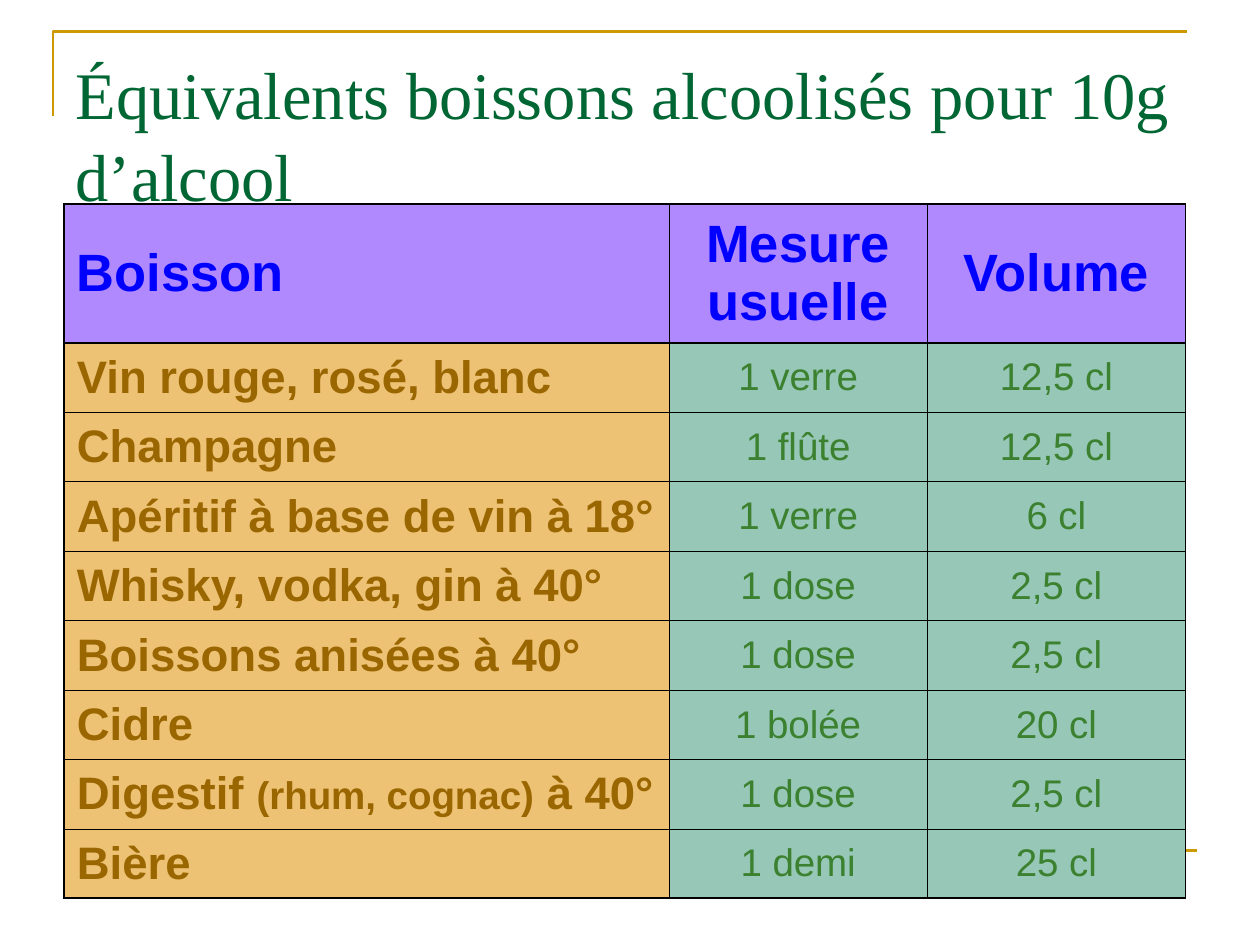
from lxml import etree
from pptx import Presentation, util as u
from pptx.dml.color import RGBColor
from pptx.enum import text
from pptx.oxml import ns

TITLE = "Équivalents boissons alcoolisés pour 10g d’alcool"
HEAD = ("Boisson", "Mesure usuelle", "Volume")
ROWS = [
    ("Vin rouge, rosé, blanc", "1 verre", "12,5 cl"),
    ("Champagne", "1 flûte", "12,5 cl"),
    ("Apéritif à base de vin à 18°", "1 verre", "6 cl"),
    ("Whisky, vodka, gin à 40°", "1 dose", "2,5 cl"),
    ("Boissons anisées à 40°", "1 dose", "2,5 cl"),
    ("Cidre", "1 bolée", "20 cl"),
    (("Digestif ", "(rhum, cognac)", " à 40°"), "1 dose", "2,5 cl"),
    ("Bière", "1 demi", "25 cl"),
]
WIDTHS = (4.8, 2.05, 2.05)
LEFT, TOP, HIGH, HEAD_HIGH = 0.51, 1.62, 5.51, 1.1
THICK, THIN = 1.08, 0.45
GOLD = "CC9900"
STYLES = {
    "head": ("B089FF", "0000FF", dict(size=u.Pt(30), bold=True)),
    "drink": ("EEC274", "996600", dict(size=u.Pt(26), bold=True)),
    "dose": ("97C7B6", "3B812F", dict(size=u.Pt(22), bold=False)),
}


def paint(target, color):
    target.rgb = RGBColor.from_string(color)


def apply(target, values):
    for key, value in values.items():
        setattr(target, key, value)


def write(para, words, color, values, name="Arial"):
    for order, word in enumerate(words):
        run = para.add_run()
        run.text = word
        apply(run.font, dict(values, name=name))
        if order == 1:
            run.font.size = u.Pt(22)
        paint(run.font.color, color)


def edge(cell, sides):
    props = cell._tc.get_or_add_tcPr()
    for order, (side, width) in enumerate(sides.items()):
        line = etree.Element(ns.qn("a:ln" + side), w=str(u.Pt(width)))
        fill = etree.SubElement(line, ns.qn("a:solidFill"))
        etree.SubElement(fill, ns.qn("a:srgbClr"), val="000000")
        props.insert(order, line)


def add_frame(slide):
    maker = slide.shapes.build_freeform(u.Inches(0.42), u.Inches(0.92))
    maker.add_line_segments(
        [(u.Inches(0.42), u.Inches(0.25)), (u.Inches(9.42), u.Inches(0.25))], close=False)
    corner = maker.convert_to_shape()
    corner.fill.background()
    corner.shadow.inherit = False
    ends = (u.Inches(n) for n in (0.5, 6.75, 9.5, 6.75))
    rule = slide.shapes.add_connector(1, *ends)
    etree.SubElement(rule._element.spPr, ns.qn("a:effectLst"))
    for shape in (corner, rule):
        paint(shape.line.fill_color if hasattr(shape.line, "fill_color") else shape.line.color, GOLD)
        shape.line.width = u.Pt(1.5)


def add_title(slide):
    title = slide.shapes.title
    apply(title, dict(left=u.Inches(0.5), top=u.Inches(0.3),
                      width=u.Inches(9.3), height=u.Inches(0.69)))
    apply(title.text_frame, dict(
        word_wrap=True, auto_size=text.MSO_AUTO_SIZE.NONE, margin_top=u.Inches(0.1),
        vertical_anchor=text.MSO_ANCHOR.TOP))
    para = title.text_frame.paragraphs[0]
    apply(para, dict(alignment=text.PP_ALIGN.LEFT, line_spacing=1.03))
    write(para, [TITLE], "006633", dict(size=u.Pt(38)), "Times New Roman")


def add_grid(slide):
    data = [HEAD, *ROWS]
    box = [u.Inches(n) for n in (LEFT, TOP, sum(WIDTHS), HIGH)]
    grid = slide.shapes.add_table(len(data), len(HEAD), *box).table
    for col, width in zip(grid.columns, WIDTHS):
        col.width = u.Inches(width)
    for r, row in enumerate(data):
        grid.rows[r].height = u.Inches((HIGH - HEAD_HIGH) / len(ROWS) if r else HEAD_HIGH)
        for c, item in enumerate(row):
            fill, color, values = STYLES["head" if r == 0 else "dose" if c else "drink"]
            cell = grid.cell(r, c)
            cell.vertical_anchor = text.MSO_ANCHOR.MIDDLE
            cell.fill.solid()
            paint(cell.fill.fore_color, fill)
            para = cell.text_frame.paragraphs[0]
            para.alignment = text.PP_ALIGN.CENTER if c else text.PP_ALIGN.LEFT
            write(para, [item] if isinstance(item, str) else item, color, values)
            bold = dict(L=c == 0, R=c == len(HEAD) - 1, T=r < 2, B=r in (0, len(ROWS)))
            edge(cell, {side: THICK if flag else THIN for side, flag in bold.items()})


def main():
    """Build the slide of drinks that each hold 10 g of alcohol."""
    deck = Presentation()
    apply(deck, dict(slide_width=u.Inches(10), slide_height=u.Inches(7.5)))
    slide = deck.slides.add_slide(deck.slide_layouts[5])
    add_frame(slide)
    add_title(slide)
    add_grid(slide)
    deck.save("out.pptx")


if __name__ == "__main__":
    main()
